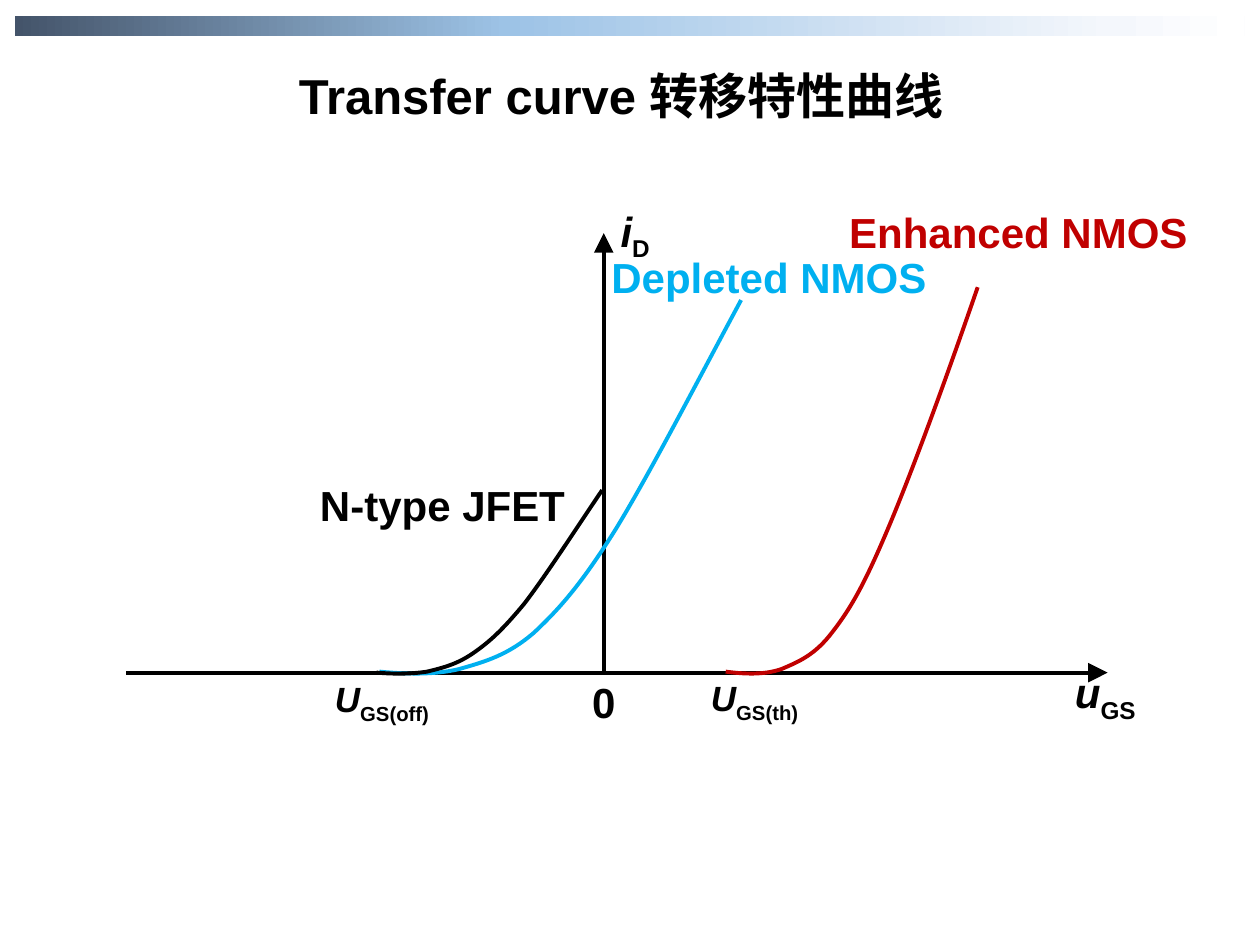
import copy

import lxml.etree
import pptx
import pptx.dml.color
import pptx.enum.shapes
import pptx.enum.text
import pptx.oxml.ns
import pptx.util
from pptx.util import Cm

RGBColor = pptx.dml.color.RGBColor
BLACK = RGBColor(0x00, 0x00, 0x00)
RED = RGBColor(0xC0, 0x00, 0x00)
BLUE = RGBColor(0x00, 0xB0, 0xF0)
BAR_STOPS = [
    (0, RGBColor(0x44, 0x54, 0x6A)),
    (0.4, RGBColor(0x9D, 0xC3, 0xE6)),
    (0.89, RGBColor(0xF4, 0xF7, 0xFC)),
    (1, RGBColor(0xFF, 0xFF, 0xFF)),
]
LINE_WIDTH = pptx.util.Pt(2.25)
CENTER = pptx.enum.text.PP_ALIGN.CENTER
LEFT = pptx.enum.text.PP_ALIGN.LEFT
qn = pptx.oxml.ns.qn


def add_run(paragraph, text, size, color=BLACK, italic=False, subscript=False):
    run = paragraph.add_run()
    run.text = text
    run.font.name = "Arial"
    run.font.size = pptx.util.Pt(size)
    run.font.bold = True
    run.font.italic = italic
    run.font.color.rgb = color
    if subscript:
        run.font._element.set("baseline", "-25000")
    return run


def add_label(slide, left, top, width, height, alignment):
    box = slide.shapes.add_textbox(Cm(left), Cm(top), Cm(width), Cm(height))
    box.text_frame.word_wrap = True
    paragraph = box.text_frame.paragraphs[0]
    paragraph.alignment = alignment
    return paragraph


presentation = pptx.Presentation()
presentation.slide_width = Cm(25.4)
presentation.slide_height = Cm(19.05)
slide = presentation.slides.add_slide(presentation.slide_layouts[5])

# Title
title = slide.shapes.title
title.left, title.top, title.width, title.height = Cm(5.6), Cm(1.19), Cm(13.84), Cm(1.45)
title.text_frame.vertical_anchor = pptx.enum.text.MSO_ANCHOR.TOP
paragraph = title.text_frame.paragraphs[0]
paragraph.alignment = CENTER
add_run(paragraph, "Transfer curve ", 28)
run = add_run(paragraph, "转移特性曲线", 28)
run.font.name = "Noto Sans CJK SC"
lxml.etree.SubElement(run.font._element, qn("a:ea"), typeface="Noto Sans CJK SC")

# Gradient bar along the top
bar = slide.shapes.add_shape(
    pptx.enum.shapes.MSO_SHAPE.RECTANGLE, Cm(0.3), Cm(0.33), Cm(24.79), Cm(0.4))
bar.shadow.inherit = False
bar.line.fill.background()
bar.fill.gradient()
bar.fill.gradient_angle = 0
stop_list = bar._element.spPr.find(".//" + qn("a:gsLst"))
while len(stop_list) < len(BAR_STOPS):
    stop_list.append(copy.deepcopy(stop_list[0]))
for stop, (position, color) in zip(bar.fill.gradient_stops, BAR_STOPS):
    stop.position = position
    stop.color.rgb = color

# Axes: start and end points
for x1, y1, x2, y2 in [(12.17, 13.54, 12.17, 4.7), (2.54, 13.56, 22.33, 13.56)]:
    axis = slide.shapes.add_connector(
        pptx.enum.shapes.MSO_CONNECTOR.STRAIGHT, Cm(x1), Cm(y1), Cm(x2), Cm(y2))
    axis.line.color.rgb = BLACK
    axis.line.width = LINE_WIDTH
    lxml.etree.SubElement(
        axis.line._get_or_add_ln(), qn("a:tailEnd"), type="triangle", w="lg", len="lg")
    lxml.etree.SubElement(axis._element.spPr, qn("a:effectLst"))

# Axis symbols: main letter and its subscript
for symbol, subscript, size, left, top, width, height in [
    ("i", "D", 24, 12.26, 4.01, 1.4, 1.5),
    ("u", "GS", 24, 21.42, 13.32, 2.11, 1.5),
    ("U", "GS(th)", 20, 14.08, 13.51, 2.64, 1.32),
    ("U", "GS(off)", 20, 6.5, 13.54, 2.64, 1.32),
]:
    paragraph = add_label(slide, left, top, width, height, LEFT)
    add_run(paragraph, symbol, size, italic=True)
    add_run(paragraph, subscript, size, subscript=True)
add_run(add_label(slide, 11.69, 13.51, 2.11, 1.27, LEFT), "0", 24)

# Transfer curves: cubic Bezier control points, each with its label
curves = [
    ("Enhanced NMOS", RED, 16.72, 4.04, [
        (14.63, 13.54), (15.01, 13.59), (15.39, 13.61), (15.75, 13.49),
        (16.1, 13.34), (16.43, 13.21), (16.79, 12.73),
        (17.17, 12.24), (17.45, 11.73), (17.93, 10.59),
        (18.42, 9.42), (19.08, 7.62), (19.71, 5.79)]),
    ("Depleted NMOS", BLUE, 11.69, 4.95, [
        (7.65, 13.54), (8.18, 13.59), (8.74, 13.61), (9.25, 13.49),
        (9.78, 13.34), (10.24, 13.21), (10.77, 12.75),
        (11.28, 12.27), (11.71, 11.79), (12.4, 10.69),
        (13.08, 9.58), (14, 7.8), (14.94, 6.05)]),
    ("N-type JFET", BLACK, 5.11, 9.55, [
        (7.59, 13.56), (7.95, 13.59), (8.28, 13.59), (8.61, 13.54),
        (8.94, 13.46), (9.22, 13.39), (9.55, 13.16),
        (9.88, 12.93), (10.13, 12.7), (10.57, 12.17),
        (11, 11.61), (11.56, 10.74), (12.14, 9.88)]),
]
for name, color, left, top, points in curves:
    start, *controls = [(Cm(x), Cm(y)) for x, y in points]
    builder = slide.shapes.build_freeform(*start)
    builder.add_line_segments(controls, close=False)
    curve = builder.convert_to_shape()

    # Every three line segments become one Bezier segment
    outline = curve._element.spPr.find(".//" + qn("a:path"))
    segments = outline.findall(qn("a:lnTo"))
    for first in range(0, len(segments), 3):
        bezier = lxml.etree.SubElement(outline, qn("a:cubicBezTo"))
        for segment in segments[first:first + 3]:
            bezier.append(segment[0])
            outline.remove(segment)

    curve.shadow.inherit = False
    curve.fill.background()
    curve.line.color.rgb = color
    curve.line.width = LINE_WIDTH
    add_run(add_label(slide, left, top, 7.62, 1.27, CENTER), name, 24, color)

presentation.save("out.pptx")
